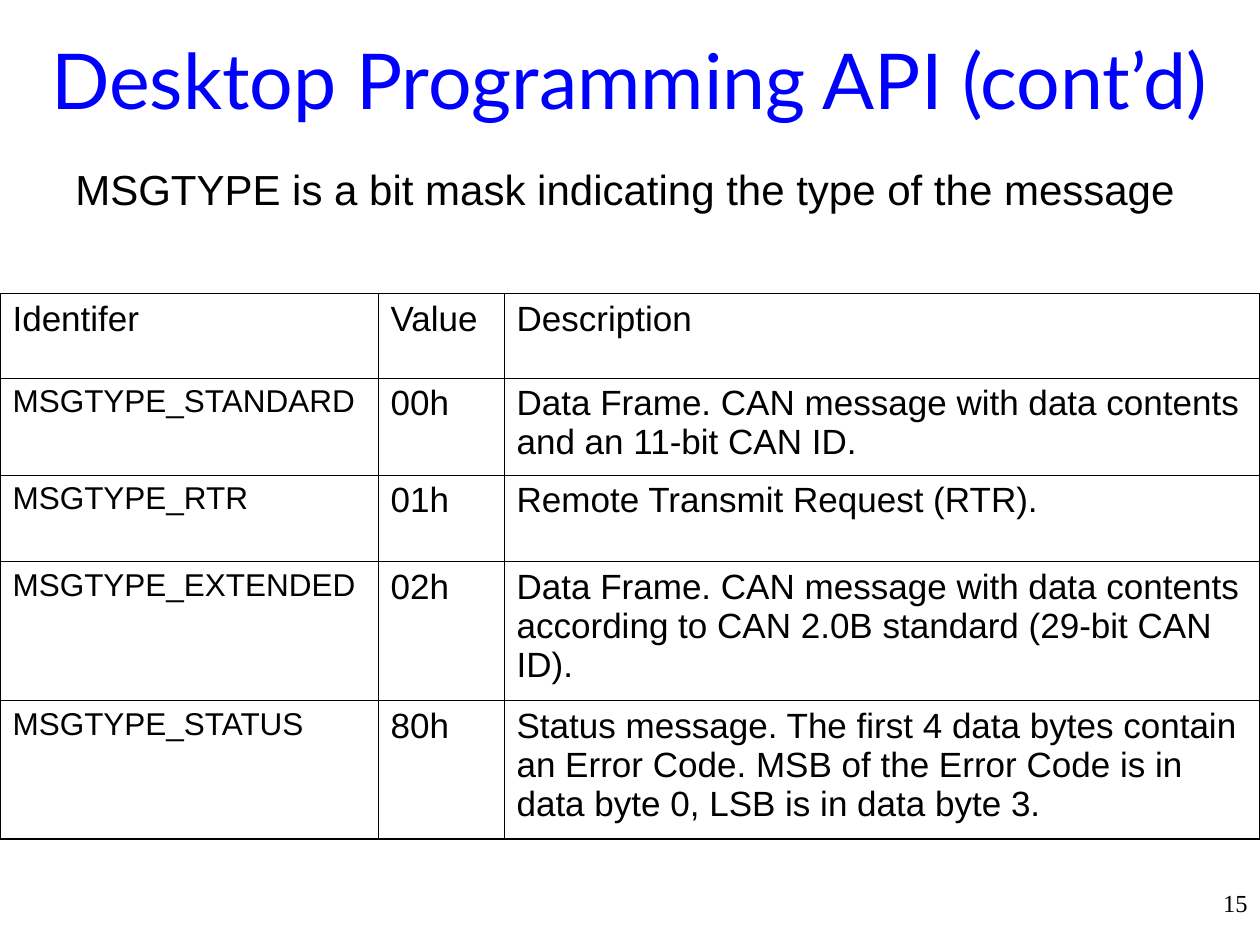
from lxml.etree import SubElement
from pptx import Presentation
from pptx.dml.color import RGBColor
from pptx.enum.text import MSO_ANCHOR, PP_ALIGN
from pptx.oxml.ns import qn
from pptx.util import Inches, Pt

BLACK, BLUE, WHITE = "000000", "0000FF", "FFFFFF"
THIN, THICK = 0.45, 1.08


def color(code):
    return RGBColor.from_string(code)


class Deck:
    font = "Arial"
    ink = BLACK

    def __init__(self, wide, high):
        self.prs = Presentation()
        self.prs.slide_width = Inches(wide)
        self.prs.slide_height = Inches(high)
        self.slide = self.prs.slides.add_slide(self.prs.slide_layouts[6])
        fill = self.slide.background.fill
        fill.solid()
        fill.fore_color.rgb = color(WHITE)

    def add_run(self, para, text, size, font=None, ink=None):
        run = para.add_run()
        run.text = text
        run.font.size = Pt(size)
        run.font.name = font or self.font
        run.font.color.rgb = color(ink or self.ink)

    def text(self, box, text, size, font=None, ink=None,
             align=PP_ALIGN.LEFT, anchor=MSO_ANCHOR.TOP, indent=None):
        frame = self.slide.shapes.add_textbox(*map(Inches, box)).text_frame
        frame.word_wrap = True
        frame.vertical_anchor = anchor
        para = frame.paragraphs[0]
        para.alignment = align
        if indent:
            props = para._p.get_or_add_pPr()
            for name, value in zip(("marL", "indent"), indent):
                props.set(name, str(Inches(value)))
        self.add_run(para, text, size, font, ink)

    def edge(self, cell, side, width):
        props = cell._tc.get_or_add_tcPr()
        line = SubElement(props, qn("a:ln" + side), w=str(Pt(width)))
        fill = SubElement(line, qn("a:solidFill"))
        SubElement(fill, qn("a:srgbClr"), val=self.ink)

    def table(self, left, top, cols, rows, data, size, small):
        box = map(Inches, (left, top, sum(cols), sum(rows)))
        grid = self.slide.shapes.add_table(len(rows), len(cols), *box).table
        grid.first_row = grid.horz_banding = False
        for col, width in zip(grid.columns, cols):
            col.width = Inches(width)
        for row, height in zip(grid.rows, rows):
            row.height = Inches(height)
        for r, line in enumerate(data):
            for c, text in enumerate(line):
                cell = grid.cell(r, c)
                # Thick lines run only around the outside
                outer = {"L": c == 0, "R": c == len(cols) - 1,
                         "T": r == 0, "B": r == len(rows) - 1}
                for side, out in outer.items():
                    self.edge(cell, side, THICK if out else THIN)
                cell.fill.background()
                name = r > 0 and c == 0
                para = cell.text_frame.paragraphs[0]
                self.add_run(para, text, small if name else size)


def main():
    deck = Deck(10, 7.5)

    # Page number
    deck.text((7.92, 7, 2.08, 0.5), "15", 14, "Times New Roman",
              align=PP_ALIGN.RIGHT)

    # Title and lead line
    deck.text((0, 0, 10, 1.25), "Desktop Programming API (cont’d)", 44,
              "Lato", BLUE, PP_ALIGN.CENTER, MSO_ANCHOR.MIDDLE)
    deck.text((0, 1.25, 10, 0.83),
              "MSGTYPE is a bit mask indicating the type of the message",
              24, indent=(0.81, -0.31))

    # Message types
    data = [
        ("Identifer", "Value", "Description"),
        ("MSGTYPE_STANDARD", "00h",
         "Data Frame. CAN message with data contents and an 11-bit CAN ID."),
        ("MSGTYPE_RTR", "01h", "Remote Transmit Request (RTR)."),
        ("MSGTYPE_EXTENDED", "02h",
         "Data Frame. CAN message with data contents according to "
         "CAN 2.0B standard (29-bit CAN ID)."),
        ("MSGTYPE_STATUS", "80h",
         "Status message. The first 4 data bytes contain an Error Code. "
         "MSB of the Error Code is in data byte 0, LSB is in data byte 3."),
    ]
    deck.table(0, 2.33, (3, 1, 6), (0.67, 0.77, 0.69, 1.1, 1.1), data, 20, 18)

    deck.prs.save("out.pptx")


if __name__ == "__main__":
    main()
